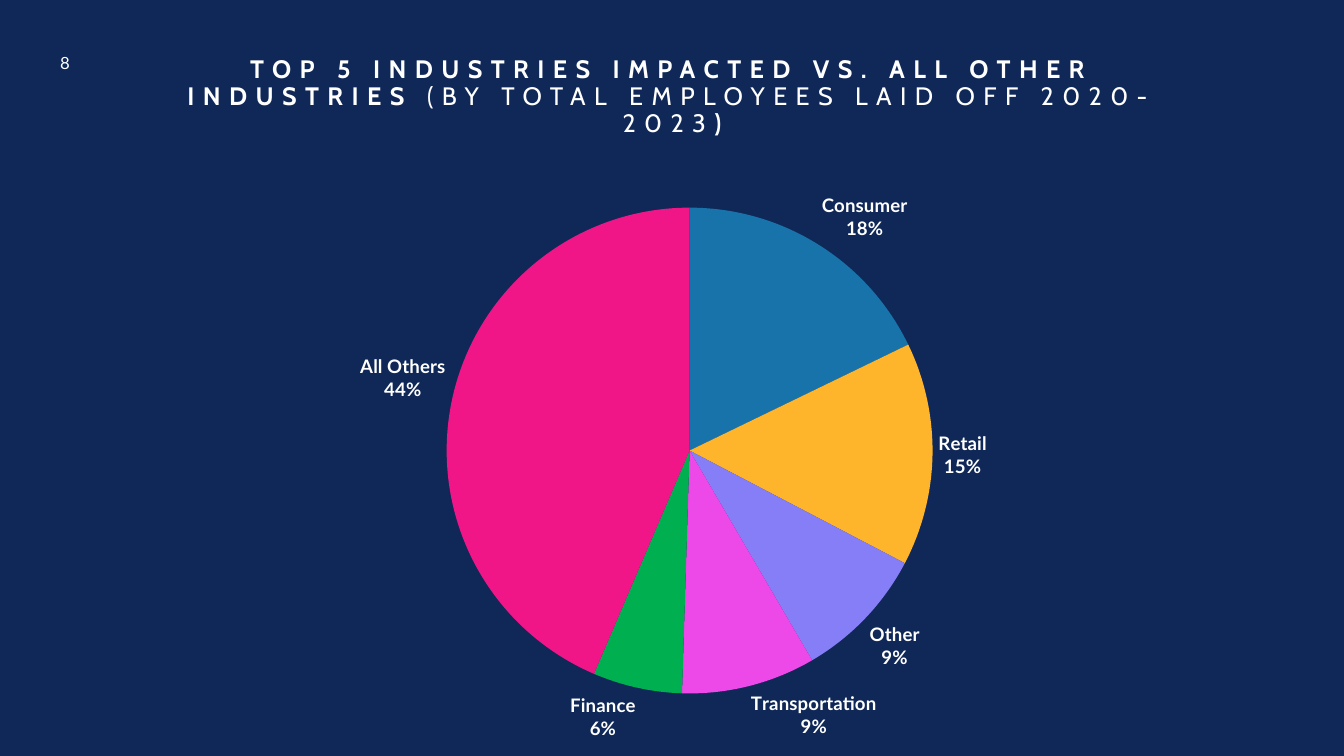
import pptx
import pptx.chart.data
import pptx.dml.color
import pptx.enum.chart
import pptx.enum.text
import pptx.oxml
import pptx.oxml.ns
import pptx.util
from pptx.util import Inches

COLORS = {"navy": "102857", "white": "FFFFFF"}
INDUSTRIES = {
    "Consumer": (18, "1773AA"),
    "Retail": (15, "FEB52B"),
    "Other": (9, "857EF6"),
    "Transportation": (9, "ED48E8"),
    "Finance": (6, "00B050"),
    "All Others": (44, "F01688"),
}
TITLE_RUNS = [
    ("TOP 5 INDUSTRIES IMPACTED VS. ALL OTHER INDUSTRIES ", True),
    ("(BY TOTAL EMPLOYEES LAID OFF 2020- 2023", False),
    (")", True),
]
CHART_W, CHART_H, PIE_SIZE = 9.1, 5.88, 4.82
PIE_LAYOUT = {
    "x": 2.31 / CHART_W,
    "y": 0.44 / CHART_H,
    "w": PIE_SIZE / CHART_W,
    "h": PIE_SIZE / CHART_H,
}


def rgb(value):
    return pptx.dml.color.RGBColor.from_string(value)


def style_font(font, **values):
    font.color.rgb = rgb(COLORS["white"])
    for key, value in values.items():
        setattr(font, key, value)


prs = pptx.Presentation()
prs.slide_width, prs.slide_height = Inches(13.33), Inches(7.5)
s = prs.slides.add_slide(prs.slide_layouts[5])
s.background.fill.solid()
s.background.fill.fore_color.rgb = rgb(COLORS["navy"])

title = s.shapes.title
title.left, title.top = Inches(1.2), Inches(0.38)
title.width, title.height = Inches(10.93), Inches(1.17)
number = s.shapes.add_textbox(Inches(0.36), Inches(0.45), Inches(0.57), Inches(0.34))
FRAME = {
    "word_wrap": True,
    "auto_size": pptx.enum.text.MSO_AUTO_SIZE.NONE,
    "vertical_anchor": pptx.enum.text.MSO_ANCHOR.MIDDLE,
}
for sp in (title, number):
    for key, value in FRAME.items():
        setattr(sp.text_frame, key, value)
    sp.text_frame.paragraphs[0].alignment = pptx.enum.text.PP_ALIGN.CENTER

p = title.text_frame.paragraphs[0]
p.line_spacing = 0.9
for text, bold in TITLE_RUNS:
    r = p.add_run()
    r.text = text
    style_font(r.font, name="Cabin", size=pptx.util.Pt(18), bold=bold)
    r.font._element.set("spc", "600")

r = number.text_frame.paragraphs[0].add_run()
r.text = "8"
style_font(r.font, name="Lato", size=pptx.util.Pt(12))

data = pptx.chart.data.CategoryChartData()
data.categories = list(INDUSTRIES)
data.add_series("Series 1", [share for share, color in INDUSTRIES.values()])
chart = s.shapes.add_chart(
    pptx.enum.chart.XL_CHART_TYPE.PIE,
    Inches(2.12), Inches(1.62), Inches(CHART_W), Inches(CHART_H), data,
).chart
chart.has_title = False
chart.has_legend = False
style_font(chart.font, name="Lato", size=pptx.util.Pt(13.3), bold=True)

plot = chart.plots[0]
plot.vary_by_categories = True
for i, (share, color) in enumerate(INDUSTRIES.values()):
    fill = plot.series[0].points[i].format.fill
    fill.solid()
    fill.fore_color.rgb = rgb(color)

labels = plot.series[0].data_labels
LABELS = {
    "show_category_name": True,
    "show_percentage": True,
    "show_value": False,
    "show_legend_key": False,
    "number_format": "0%",
    "number_format_is_linked": False,
    "position": pptx.enum.chart.XL_LABEL_POSITION.OUTSIDE_END,
}
for key, value in LABELS.items():
    setattr(labels, key, value)
style_font(labels.font, name="Lato", size=pptx.util.Pt(13.3), bold=True)

ns = pptx.oxml.ns.nsdecls("c")
qn = pptx.oxml.ns.qn
separator = pptx.oxml.parse_xml(f"<c:separator {ns}>\n</c:separator>")
flags = [e for e in labels._element if e.tag in (qn("c:showPercent"), qn("c:showBubbleSize"))]
flags[-1].addnext(separator)

area = chart._chartSpace.chart.plotArea
for old in area.findall(qn("c:layout")):
    area.remove(old)
modes = "".join(f'<c:{k}Mode val="edge"/>' for k in "xy")
sizes = "".join(f'<c:{k} val="{v}"/>' for k, v in PIE_LAYOUT.items())
area.insert(0, pptx.oxml.parse_xml(
    f'<c:layout {ns}><c:manualLayout><c:layoutTarget val="inner"/>'
    f"{modes}{sizes}</c:manualLayout></c:layout>"
))

prs.save("out.pptx")
